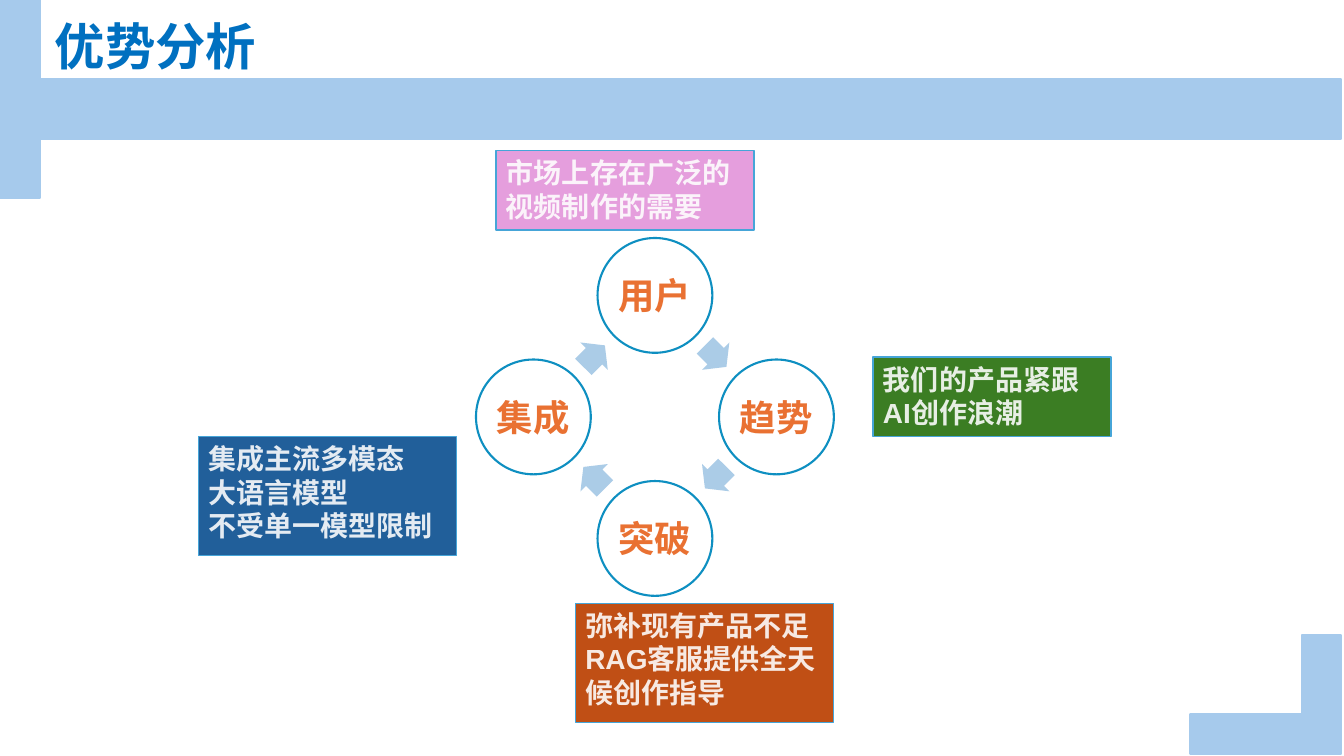
"""Build the advantage analysis slide: a four-step cycle with a note beside each step."""
from lxml import etree
from pptx import Presentation
from pptx.dml.color import RGBColor
from pptx.enum import shapes, text
from pptx.oxml.ns import qn
from pptx.util import Pt

WHITE = RGBColor(0xFF, 0xFF, 0xFF)
PALE_BLUE = RGBColor(0xA6, 0xCA, 0xEC)
ARROW_BLUE = RGBColor(0xAB, 0xCC, 0xE7)
RING_BLUE = RGBColor(0x0E, 0x8F, 0xC1)
NOTE_LINE = RGBColor(0x46, 0xA5, 0xD8)
TITLE_BLUE = RGBColor(0x00, 0x70, 0xC0)
ORANGE = RGBColor(0xE9, 0x71, 0x32)
PINK = RGBColor(0xE5, 0x9E, 0xDD)
GREEN = RGBColor(0x3B, 0x7D, 0x23)
RUST = RGBColor(0xC0, 0x4F, 0x15)
NAVY = RGBColor(0x21, 0x5F, 0x9A)

presentation = Presentation()
presentation.slide_width, presentation.slide_height = Pt(960), Pt(540)
slide = presentation.slides.add_slide(presentation.slide_layouts[6])


def add_block(kind, left, top, width, height, fill, line=None, weight=1.5):
    shape = slide.shapes.add_shape(kind, Pt(left), Pt(top), Pt(width), Pt(height))
    shape.shadow.inherit = False
    shape.fill.solid()
    shape.fill.fore_color.rgb = fill
    if line is None:
        shape.line.fill.background()
    else:
        shape.line.color.rgb = line
        shape.line.width = Pt(weight)
    return shape


def write(shape, lines, size, color, font, east_asian, inset=(7.2, 3.6),
          align=text.PP_ALIGN.LEFT, anchor=text.MSO_ANCHOR.TOP, opacity=100):
    frame = shape.text_frame
    frame.word_wrap = True
    frame.vertical_anchor = anchor
    frame.margin_left = frame.margin_right = Pt(inset[0])
    frame.margin_top = frame.margin_bottom = Pt(inset[1])
    for index, line in enumerate(lines):
        paragraph = frame.paragraphs[0] if index == 0 else frame.add_paragraph()
        paragraph.alignment = align
        run = paragraph.add_run()
        run.text = line
        run.font.size = Pt(size)
        run.font.bold = True
        run.font.name = font
        run.font.color.rgb = color
        properties = run.font._element
        properties.find(qn("a:latin")).addnext(
            etree.Element(qn("a:ea"), typeface=east_asian))
        if opacity < 100:
            rgb = properties.find(qn("a:solidFill")).find(qn("a:srgbClr"))
            etree.SubElement(rgb, qn("a:alpha"), val=str(opacity * 1000))


RECTANGLE = shapes.MSO_SHAPE.RECTANGLE
CYCLE_X, CYCLE_Y = 467.8, 297.8
RADIUS, DIAMETER = 86.8, 82
ARROW_OFFSET, ARROW_WIDTH, ARROW_HEIGHT = 43.4, 21.7, 27.6

steps = [("用户", 0, -1), ("趋势", 1, 0), ("突破", 0, 1), ("集成", -1, 0)]
for index, (label, across, down) in enumerate(steps):
    circle = add_block(shapes.MSO_SHAPE.OVAL,
                       CYCLE_X + across * RADIUS - DIAMETER / 2,
                       CYCLE_Y + down * RADIUS - DIAMETER / 2,
                       DIAMETER, DIAMETER, WHITE, RING_BLUE)
    write(circle, [label], 26, ORANGE, "Karla", "Noto Sans CJK SC", inset=(0, 0),
          align=text.PP_ALIGN.CENTER, anchor=text.MSO_ANCHOR.MIDDLE)
    next_across, next_down = steps[(index + 1) % len(steps)][1:]
    arrow = add_block(shapes.MSO_SHAPE.RIGHT_ARROW,
                      CYCLE_X + (across + next_across) * ARROW_OFFSET - ARROW_WIDTH / 2,
                      CYCLE_Y + (down + next_down) * ARROW_OFFSET - ARROW_HEIGHT / 2,
                      ARROW_WIDTH, ARROW_HEIGHT, ARROW_BLUE)
    arrow.adjustments[0], arrow.adjustments[1] = 0.6, 0.5
    arrow.rotation = 45 + 90 * index

bands = [(929.8, 453.6, 28.35, 85.05), (850.4, 510.3, 85.05, 28.35),
         (28.35, 56.7, 929.8, 42.5), (0, 0, 28.35, 141.7)]
for band in bands:
    add_block(RECTANGLE, *band, PALE_BLUE, PALE_BLUE)

title = slide.shapes.add_textbox(Pt(28.35), Pt(0), Pt(453.6), Pt(56.7))
write(title, ["优势分析"], 36, TITLE_BLUE, "Noto Sans CJK SC", "Noto Sans CJK SC",
      inset=(10.8, 10.8))

notes = [
    (354.3, 107.7, 184.3, 56.7, PINK, ["市场上存在广泛的视频制作的需要"]),
    (623.6, 255.1, 170.1, 56.7, GREEN, ["我们的产品紧跟AI创作浪潮"]),
    (411, 430.9, 184.3, 85, RUST, ["弥补现有产品不足", "RAG客服提供全天候创作指导"]),
    (141.7, 311.8, 184.3, 85, NAVY, ["集成主流多模态", "大语言模型", "不受单一模型限制"]),
]
for left, top, width, height, fill, lines in notes:
    note = add_block(RECTANGLE, left, top, width, height, fill, NOTE_LINE, 1)
    write(note, lines, 20, WHITE, "Arial", "Arial", opacity=88)

presentation.save("out.pptx")
